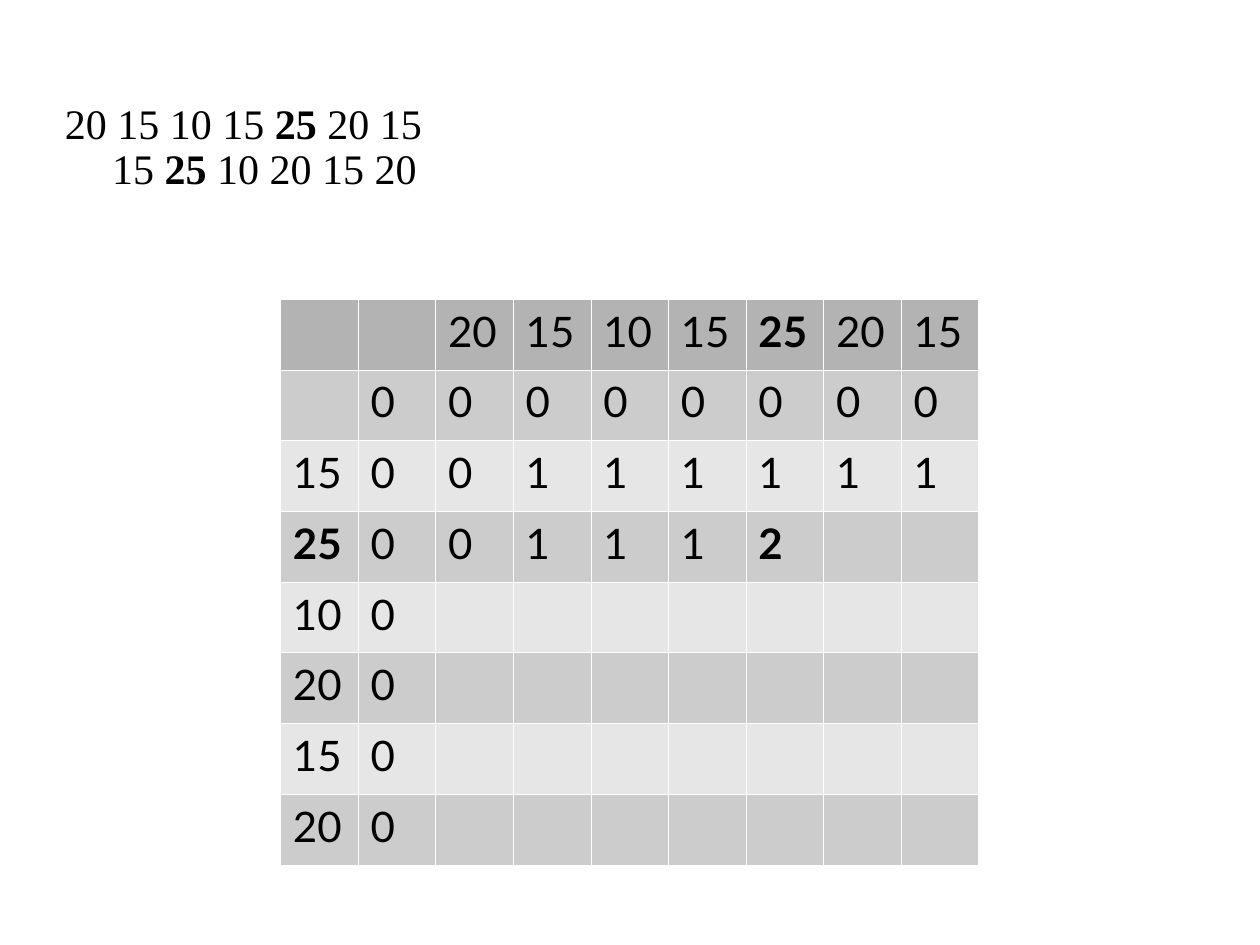
from dataclasses import dataclass
from lxml.etree import SubElement
from pptx import Presentation
from pptx.dml.color import RGBColor as RGB
from pptx.oxml.ns import qn
from pptx.util import Pt

BOLD = {"25", "2"}
SEQUENCES = [
    ["20 15 10 15 ", "25", " 20 15"],
    ["15 ", "25", " 10 20 15 20"],
]
ROWS = [
    ["", "", "20", "15", "10", "15", "25", "20", "15"],
    ["", "0", "0", "0", "0", "0", "0", "0", "0"],
    ["15", "0", "0", "1", "1", "1", "1", "1", "1"],
    ["25", "0", "0", "1", "1", "1", "2"],
    ["10", "0"],
    ["20", "0"],
    ["15", "0"],
    ["20", "0"],
]


@dataclass
class Theme:
    text: str = "000000"
    border: str = "FFFFFF"
    header: str = "B3B3B3"
    bands: tuple = ("E6E6E6", "CCCCCC")
    size: float = 24
    serif: str = "Times New Roman"
    sans: str = "Lato"


theme = Theme()


def style(font, name, bold):
    font.name = name
    font.size = Pt(theme.size)
    font.bold = bold
    font.color.rgb = RGB.from_string(theme.text)


def add_borders(cell):
    tc_pr = cell._tc.get_or_add_tcPr()
    for i, side in enumerate(("lnL", "lnR", "lnT", "lnB")):
        ln = tc_pr.makeelement(qn(f"a:{side}"), {"w": str(Pt(0.06))})
        fill = SubElement(ln, qn("a:solidFill"))
        SubElement(fill, qn("a:srgbClr"), val=theme.border)
        tc_pr.insert(i, ln)


def add_sequences(s):
    box = s.shapes.add_textbox(Pt(30), Pt(54), Pt(636), Pt(443))
    tf = box.text_frame
    tf.word_wrap = True
    tf.margin_top = Pt(5)
    p = tf.paragraphs[0]
    p.line_spacing = 0.9
    p_pr = p._p.get_or_add_pPr()
    p_pr.set("marL", str(Pt(27)))
    p_pr.set("indent", str(Pt(-27)))
    for i, line in enumerate(SEQUENCES):
        if i:
            p.add_line_break()
        for text in line:
            r = p.add_run()
            r.text = text
            style(r.font, theme.serif, text in BOLD)


def add_grid(s):
    n_rows, n_cols = len(ROWS), len(ROWS[0])
    col_w, row_h = Pt(44.35), Pt(40.45)
    table = s.shapes.add_table(
        n_rows, n_cols, Pt(160.2), Pt(170.8), col_w * n_cols, row_h * n_rows
    ).table
    for col in table.columns:
        col.width = col_w
    for i, (row, values) in enumerate(zip(table.rows, ROWS)):
        row.height = row_h
        color = theme.bands[i % 2] if i else theme.header
        for j, cell in enumerate(row.cells):
            cell.fill.solid()
            cell.fill.fore_color.rgb = RGB.from_string(color)
            add_borders(cell)
            if j < len(values) and values[j]:
                cell.text_frame.text = values[j]
                p = cell.text_frame.paragraphs[0]
                p.line_spacing = 1.01
                style(p.runs[0].font, theme.sans, values[j] in BOLD)


def main():
    prs = Presentation()
    prs.slide_width, prs.slide_height = Pt(720), Pt(540)
    s = prs.slides.add_slide(prs.slide_layouts[6])
    add_sequences(s)
    add_grid(s)
    prs.save("out.pptx")


if __name__ == "__main__":
    main()
